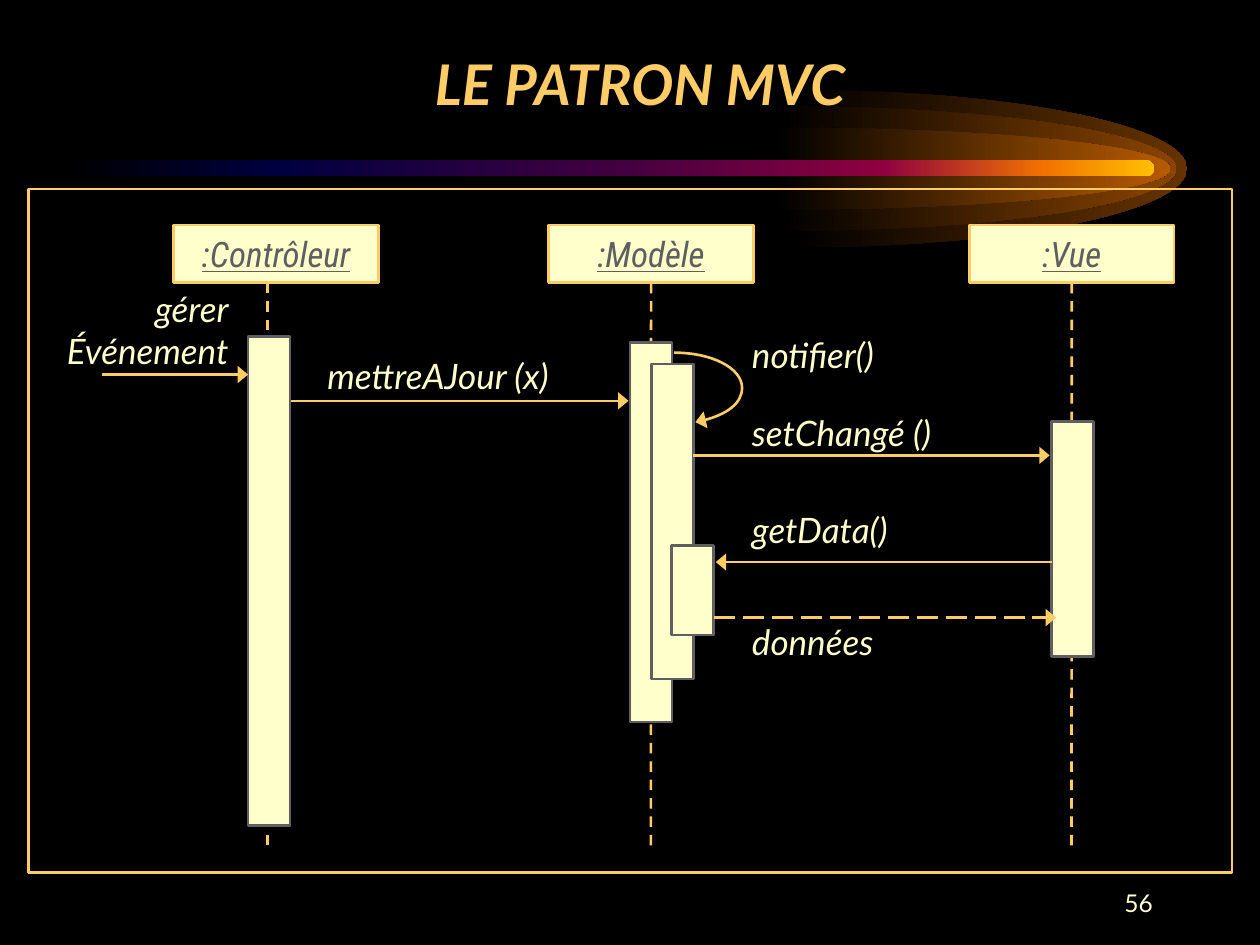
"""Build the MVC pattern sequence diagram slide."""
from lxml.etree import SubElement
from pptx import Presentation
from pptx.dml.color import RGBColor
from pptx.enum.dml import MSO_LINE as Dash
from pptx.enum.shapes import MSO_CONNECTOR as Connector, MSO_SHAPE as Shape
from pptx.enum.text import MSO_ANCHOR as Anchor, PP_ALIGN as Align
from pptx.oxml.ns import qn
from pptx.util import Cm, Pt

COLORS = {
    "background": "000000",
    "gold": "FFCC66",
    "cream": "FFFFCC",
    "gray": "5F5F5F",
}
RGB = {name: RGBColor.from_string(value) for name, value in COLORS.items()}

deck = Presentation()
deck.slide_width, deck.slide_height = Cm(25.4), Cm(19.05)
page = deck.slides.add_slide(deck.slide_layouts[6])
page.background.fill.solid()
page.background.fill.fore_color.rgb = RGB["background"]
shapes = page.shapes


def draw_curve(points):
    start, *rest = [(Cm(x), Cm(y)) for x, y in points]
    builder = shapes.build_freeform(*start)
    builder.add_line_segments(rest, close=False)
    curve = builder.convert_to_shape()
    curve.shadow.inherit = False
    outline = next(curve.element.iter(qn("a:path")))
    segments = outline.findall(qn("a:lnTo"))
    for first in range(0, len(segments), 3):
        bezier = SubElement(outline, qn("a:cubicBezTo"))
        for segment in segments[first:first + 3]:
            bezier.append(segment[0])
            outline.remove(segment)
    return curve


def draw_line(x1, y1, x2, y2, dash=None, arrow=False):
    line = shapes.add_connector(Connector.STRAIGHT, Cm(x1), Cm(y1), Cm(x2), Cm(y2))
    line.line.color.rgb = RGB["gold"]
    line.line.width = Pt(1.5)
    line.line.dash_style = dash
    properties = line.element.spPr
    if arrow:
        SubElement(properties.find(qn("a:ln")), qn("a:tailEnd"), type="triangle", w="lg")
    SubElement(properties, qn("a:effectLst"))
    return line


gradients = []
for left, radius, color in [(15.98, 1.59, "663300"), (15.77, 1.26, "894400"), (15.65, 0.83, "B75B00")]:
    middle, right, handle_x, handle_y = 3.4, left + 7.95, left + 4.39, radius * 0.55
    glow = draw_curve([
        (left, middle - radius),
        (handle_x, middle - radius), (right, middle - handle_y), (right, middle),
        (right, middle + handle_y), (handle_x, middle + radius), (left, middle + radius),
    ])
    gradients.append((glow, [(0, "000000"), (100, color)]))

comet = shapes.add_shape(Shape.ROUNDED_RECTANGLE, Cm(1.27), Cm(3.23), Cm(22), Cm(0.32))
comet.adjustments[0] = 0.5
comet.shadow.inherit = False
gradients.append((comet, [(0, "000000"), (20, "000040"), (50, "400040"), (75, "8F0040"), (90, "F27300"), (100, "FFBF00")]))

for shape, stops in gradients:
    shape.line.fill.background()
    shape.fill.gradient()
    shape.fill.gradient_angle = 0
    stop_list = shape.element.spPr.find(qn("a:gradFill")).find(qn("a:gsLst"))
    stop_list.clear()
    for position, color in stops:
        stop = SubElement(stop_list, qn("a:gs"), pos=str(position * 1000))
        SubElement(stop, qn("a:srgbClr"), val=color)

frame = shapes.add_shape(Shape.RECTANGLE, Cm(0.57), Cm(3.81), Cm(24.27), Cm(13.78))
frame.shadow.inherit = False
frame.fill.background()
frame.line.color.rgb = RGB["gold"]
frame.line.width = Pt(1.5)

participants = [(3.5, ":Contrôleur", 5.39), (11.06, ":Modèle", 13.12), (19.54, ":Vue", 21.6)]
for left, name, lifeline_x in participants:
    box = shapes.add_shape(Shape.RECTANGLE, Cm(left), Cm(4.54), Cm(4.13), Cm(1.16))
    box.shadow.inherit = False
    box.fill.solid()
    box.fill.fore_color.rgb = RGB["cream"]
    box.line.color.rgb = RGB["gold"]
    box.line.width = Pt(1.5)
    box.text_frame.text = name
    box.text_frame.vertical_anchor = Anchor.MIDDLE
    para = box.text_frame.paragraphs[0]
    para.alignment = Align.CENTER
    para.font.name = "Roboto Condensed"
    para.font.size = Pt(20)
    para.font.italic = para.font.underline = True
    para.font.color.rgb = RGB["gray"]
    lifeline = draw_line(lifeline_x, 5.7, lifeline_x, 17.18, Dash.DASH)
    if name != ":Contrôleur":
        lifeline.begin_connect(box, 2)

activations = [(5, 6.78, 9.86), (12.7, 6.91, 7.65), (13.13, 7.34, 6.35), (13.54, 11, 1.8), (21.2, 8.5, 4.73)]
for left, top, height in activations:
    bar = shapes.add_shape(Shape.RECTANGLE, Cm(left), Cm(top), Cm(0.85), Cm(height))
    bar.shadow.inherit = False
    bar.fill.solid()
    bar.fill.fore_color.rgb = RGB["cream"]
    bar.line.color.rgb = RGB["gray"]
    bar.line.width = Pt(1.5)

messages = [
    (2.06, 5, 7.55, None),
    (5.87, 12.67, 8.08, None),
    (13.97, 21.16, 9.18, None),
    (21.21, 14.43, 11.33, None),
    (14.4, 21.29, 12.45, Dash.LONG_DASH),
]
for start, end, y, dash in messages:
    draw_line(start, y, end, y, dash, arrow=True)

self_call = draw_curve([
    (13.59, 7.11),
    (14.35, 7.11), (14.96, 7.42), (14.96, 7.82),
    (14.96, 8.13), (14.58, 8.41), (14.02, 8.51),
])
self_call.fill.background()
self_call.line.color.rgb = RGB["gold"]
self_call.line.width = Pt(1.5)
SubElement(self_call.element.spPr.find(qn("a:ln")), qn("a:tailEnd"), type="triangle", w="lg")

labels = [
    (6.35, 7.19, "mettreAJour (x)"),
    (14.91, 6.76, "notifier()"),
    (14.91, 8.34, "setChangé ()"),
    (14.91, 10.29, "getData()"),
    (14.91, 12.55, "données"),
]
texts = [
    (2.11, 0.46, 21.59, 3.18, "LE PATRON MVC", 32, "gold", Align.CENTER, 1.3),
    (0.87, 5.68, 3.99, 1.96, "gérer\nÉvénement", 20, "cream", Align.RIGHT, 1),
    (18.21, 17.57, 5.28, 1.27, "56", 14, "cream", Align.RIGHT, 1),
]
texts += [(left, top, 5.59, 0.94, text, 20, "cream", Align.LEFT, 0.8) for left, top, text in labels]
for left, top, width, height, text, size, color, alignment, spacing in texts:
    box = shapes.add_textbox(Cm(left), Cm(top), Cm(width), Cm(height))
    box.text_frame.word_wrap = True
    box.text_frame.text = text
    box.text_frame.vertical_anchor = Anchor.MIDDLE if text == "56" else Anchor.TOP
    for para in box.text_frame.paragraphs:
        para.alignment = alignment
        para.line_spacing = spacing
        para.font.name = "Lato"
        para.font.size = Pt(size)
        para.font.bold = color == "gold"
        para.font.italic = text != "56"
        para.font.color.rgb = RGB[color]

deck.save("out.pptx")
